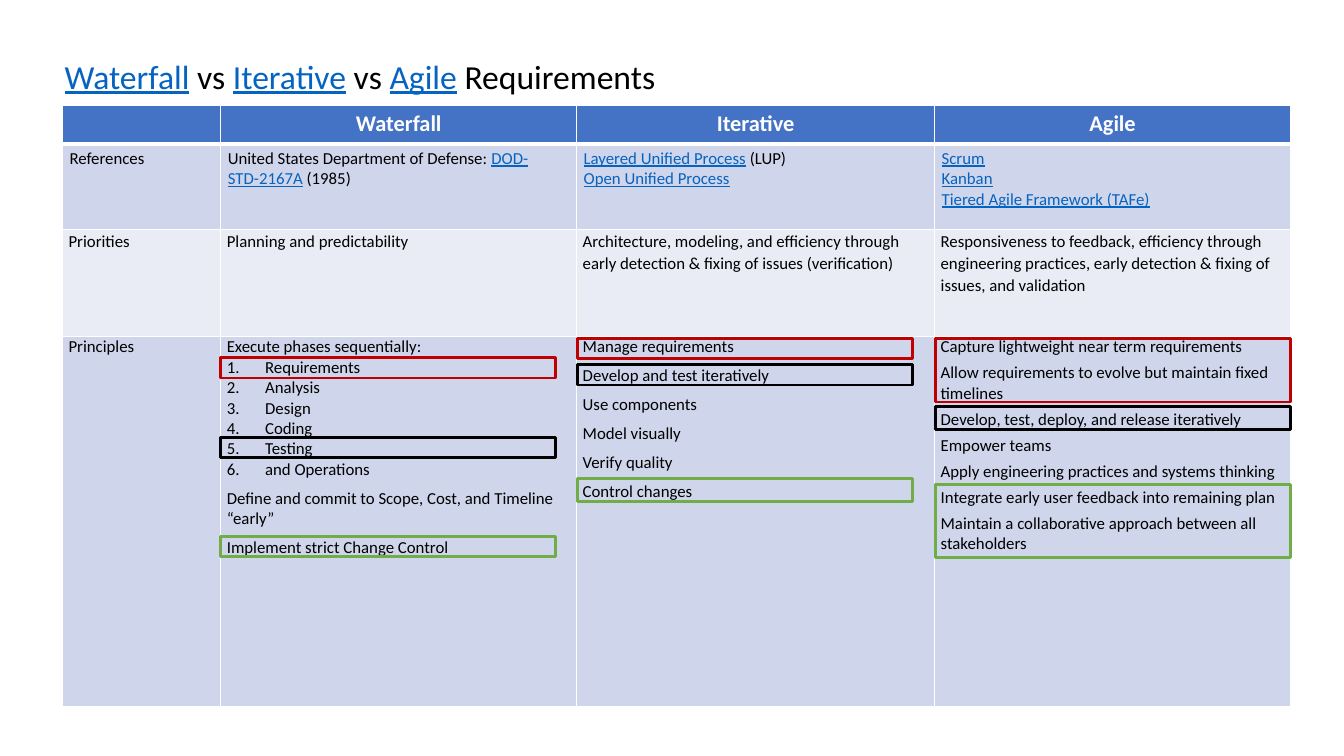
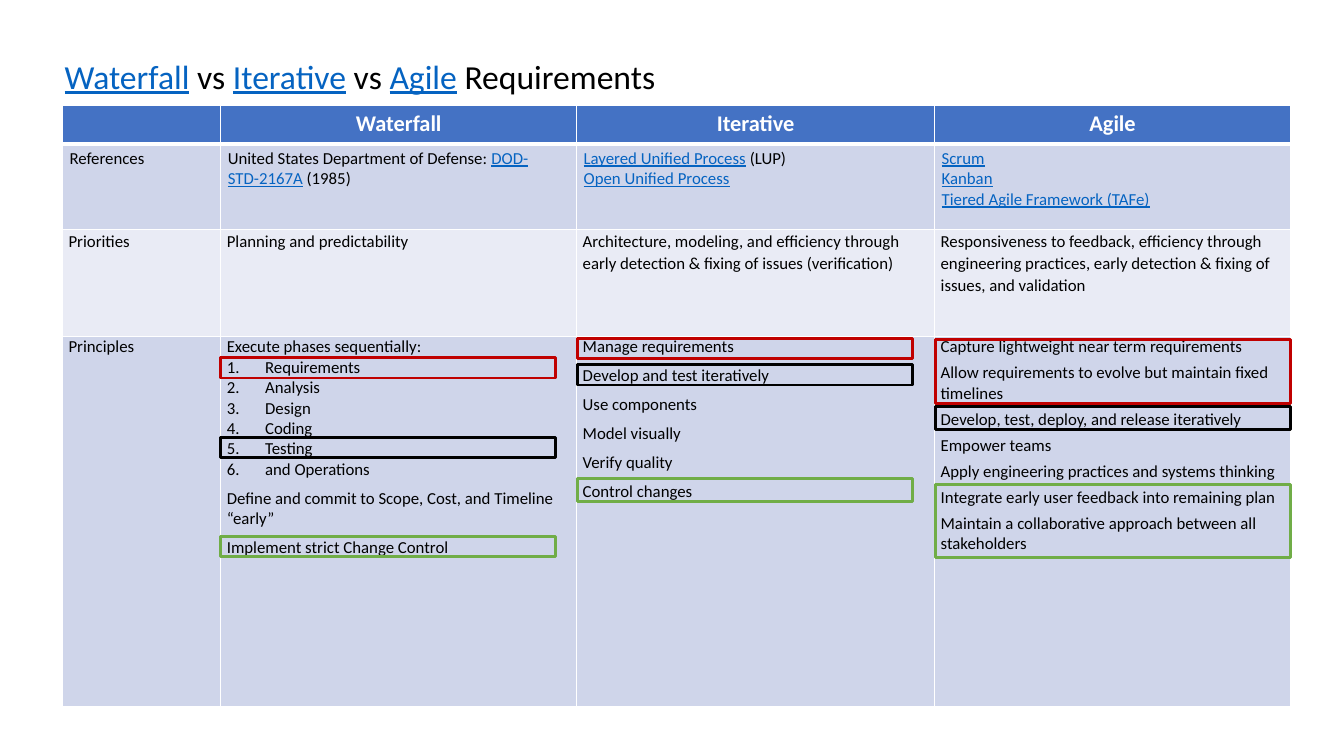
from lxml import etree
from pptx import Presentation
from pptx.dml.color import RGBColor
from pptx.enum.shapes import MSO_SHAPE
from pptx.enum.text import MSO_ANCHOR, PP_ALIGN
from pptx.oxml.ns import qn
from pptx.util import Inches, Pt

RECTANGLE = MSO_SHAPE.RECTANGLE
MIDDLE = MSO_ANCHOR.MIDDLE
LEFT, CENTER = PP_ALIGN.LEFT, PP_ALIGN.CENTER

FONT = "Calibri"
BLACK = RGBColor(0x00, 0x00, 0x00)
WHITE = RGBColor(0xFF, 0xFF, 0xFF)
LINK = RGBColor(0x05, 0x63, 0xC1)
HEADER = RGBColor(0x44, 0x72, 0xC4)
BAND_DARK = RGBColor(0xCF, 0xD5, 0xEA)
BAND_LIGHT = RGBColor(0xE9, 0xEB, 0xF5)
RED = RGBColor(0xC0, 0x00, 0x00)
GREEN = RGBColor(0x70, 0xAD, 0x47)

# Text between bars is styled as a link; a leading "#" numbers the paragraph.
TITLE = "|Waterfall| vs |Iterative| vs |Agile| Requirements"
ROWS = [
    [[""], ["Waterfall"], ["Iterative"], ["Agile"]],
    [
        ["References"],
        ["United States Department of Defense: |DOD-STD-2167A| (1985)"],
        ["|Layered Unified Process| (LUP)", "|Open Unified Process|"],
        ["|Scrum|", "|Kanban|", "|Tiered Agile Framework (TAFe)|"],
    ],
    [
        ["Priorities"],
        ["Planning and predictability"],
        ["Architecture, modeling, and efficiency through early detection & "
         "fixing of issues (verification)"],
        ["Responsiveness to feedback, efficiency through engineering "
         "practices, early detection & fixing of issues, and validation"],
    ],
    [
        ["Principles"],
        ["Execute phases sequentially:", "#Requirements", "#Analysis",
         "#Design", "#Coding", "#Testing", "#and Operations",
         "Define and commit to Scope, Cost, and Timeline “early”",
         "Implement strict Change Control"],
        ["Manage requirements", "Develop and test iteratively",
         "Use components", "Model visually", "Verify quality",
         "Control changes"],
        ["Capture lightweight near term requirements",
         "Allow requirements to evolve but maintain fixed timelines",
         "Develop, test, deploy, and release iteratively",
         "Empower teams",
         "Apply engineering practices and systems thinking",
         "Integrate early user feedback into remaining plan",
         "Maintain a collaborative approach between all stakeholders"],
    ],
]
COLUMN_WIDTHS = [1.57, 3.53, 3.55, 3.53]
ROW_HEIGHTS = [0.38, 0.85, 1.06, 3.67]
ROW_FILLS = [HEADER, BAND_DARK, BAND_LIGHT, BAND_DARK]
PRINCIPLE_GAPS = [0, 6, 6, 4]

# Left and width of the outlines in each method's column
OUTLINE_COLUMNS = [(2.19, 3.32), (5.73, 3.32), (9.28, 3.52)]
# Top and height of each outline, one per method
OUTLINES = [
    (BLACK, [(4.34, 0.2), (3.62, 0.2), (4.03, 0.23)]),
    (GREEN, [(5.32, 0.2), (4.75, 0.23), (4.81, 0.72)]),
]


def write_runs(paragraph, text, size, color=BLACK, bold=False):
    font = paragraph.font
    font.name, font.size, font.bold = FONT, Pt(size), bold
    font.color.rgb = color
    for position, part in enumerate(text.split("|")):
        if not part:
            continue
        run = paragraph.add_run()
        run.text = part
        if position % 2:
            run.font.color.rgb = LINK
            run.font.underline = True


def number_paragraph(paragraph):
    properties = paragraph._p.get_or_add_pPr()
    properties.set("marL", str(Inches(0.38)))
    properties.set("indent", str(-Inches(0.38)))
    etree.SubElement(properties, qn("a:buFont"), typeface="+mj-lt")
    etree.SubElement(properties, qn("a:buAutoNum"), type="arabicPeriod")


def add_borders(cell, bottom):
    """Draw white cell borders, with the bottom width given in points."""
    properties = cell._tc.get_or_add_tcPr()
    for side, width in (("L", 1), ("R", 1), ("T", 1), ("B", bottom)):
        line = etree.SubElement(properties, qn(f"a:ln{side}"), w=str(Pt(width)))
        fill = etree.SubElement(line, qn("a:solidFill"))
        etree.SubElement(fill, qn("a:srgbClr"), val=str(WHITE))


def add_title(slide):
    title = slide.shapes.title
    title.left, title.top = Inches(0.54), Inches(0.49)
    title.width, title.height = Inches(8.62), Inches(0.57)
    title.text_frame.vertical_anchor = MIDDLE
    paragraph = title.text_frame.paragraphs[0]
    paragraph.alignment = LEFT
    paragraph.line_spacing = 0.9
    write_runs(paragraph, TITLE, 24)


def fill_cell(cell, texts, row, column):
    is_header = row == 0
    inset_x, inset_y = (0.07, 0.04) if row < 2 else (0.06, 0)
    cell.margin_left = cell.margin_right = Inches(inset_x)
    cell.margin_top = cell.margin_bottom = Inches(inset_y)
    add_borders(cell, bottom=3 if is_header else 1)
    cell.fill.solid()
    cell.fill.fore_color.rgb = ROW_FILLS[row]
    for index, text in enumerate(texts):
        frame = cell.text_frame
        paragraph = frame.add_paragraph() if index else frame.paragraphs[0]
        paragraph.alignment = CENTER if is_header else LEFT
        if row == 2:
            paragraph.line_spacing = 1.07
        if text.startswith("#"):
            number_paragraph(paragraph)
        elif row == 3 and index:
            paragraph.space_before = Pt(PRINCIPLE_GAPS[column])
        write_runs(paragraph, text.lstrip("#"), 16 if is_header else 12,
                   WHITE if is_header else BLACK, is_header)


def add_comparison(slide):
    table = slide.shapes.add_table(
        len(ROWS), len(COLUMN_WIDTHS), Inches(0.62), Inches(1.05),
        Inches(sum(COLUMN_WIDTHS)), Inches(sum(ROW_HEIGHTS))).table
    for column, width in zip(table.columns, COLUMN_WIDTHS):
        column.width = Inches(width)
    for row, height in zip(table.rows, ROW_HEIGHTS):
        row.height = Inches(height)
    for row, cells in enumerate(ROWS):
        for column, texts in enumerate(cells):
            fill_cell(table.cell(row, column), texts, row, column)


def add_outline(slide, left, top, width, height, color):
    outline = slide.shapes.add_shape(
        RECTANGLE, Inches(left), Inches(top), Inches(width), Inches(height))
    outline.shadow.inherit = False
    outline.fill.background()
    outline.line.color.rgb = color
    outline.line.width = Pt(2)


def add_requirements_slide(prs, agile_top):
    """Add the comparison, with the top of Agile's red outline in inches."""
    slide = prs.slides.add_slide(prs.slide_layouts[5])
    add_title(slide)
    add_comparison(slide)
    red_spans = [(3.55, 0.2), (3.36, 0.2), (agile_top, 0.63)]
    for color, spans in OUTLINES + [(RED, red_spans)]:
        for (left, width), (top, height) in zip(OUTLINE_COLUMNS, spans):
            add_outline(slide, left, top, width, height, color)


def main():
    prs = Presentation()
    prs.slide_width, prs.slide_height = Inches(13.33), Inches(7.5)
    for agile_top in (3.36, 3.37):
        add_requirements_slide(prs, agile_top)
    prs.save("out.pptx")


if __name__ == "__main__":
    main()
